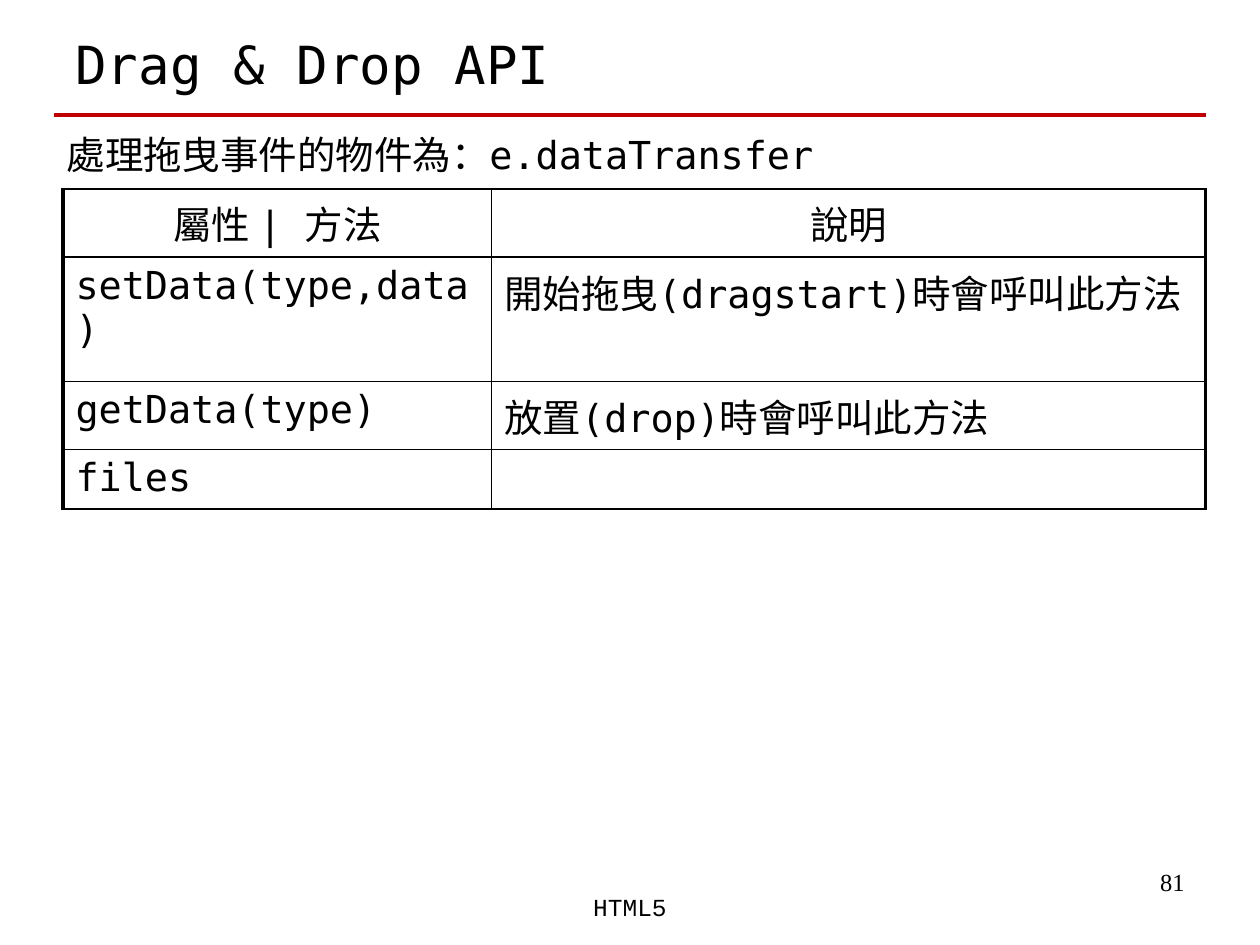
from lxml import etree
from pptx import Presentation
from pptx.dml.color import RGBColor
from pptx.enum.shapes import MSO_CONNECTOR
from pptx.enum.text import MSO_ANCHOR, PP_ALIGN
from pptx.oxml.ns import qn
from pptx.util import Pt

LEFT, CENTER, RIGHT = PP_ALIGN.LEFT, PP_ALIGN.CENTER, PP_ALIGN.RIGHT
TOP, MIDDLE = MSO_ANCHOR.TOP, MSO_ANCHOR.MIDDLE
LINE = MSO_CONNECTOR.STRAIGHT
MONO = "DejaVu Sans Mono"
BLACK, RED = "000000", "C00000"


def color(code):
    return RGBColor.from_string(code)


def write(frame, text, size, font, align):
    para = frame.paragraphs[0]
    para.text = text
    para.alignment = align
    para.font.size = Pt(size)
    para.font.name = font
    para.font.color.rgb = color(BLACK)


deck = Presentation()
deck.slide_width, deck.slide_height = Pt(720), Pt(540)
slide = deck.slides.add_slide(deck.slide_layouts[6])
shapes = slide.shapes

# Title, page number, footer and lead line
texts = [
    ("Drag & Drop API", 36, 9, 648, 54.5, 30, MONO, LEFT, MIDDLE),
    ("81", 516, 492, 168, 37.5, 14, "Times New Roman", RIGHT, TOP),
    ("HTML5", 246, 506, 228, 36, 14, "Courier New", CENTER, TOP),
    ("處理拖曳事件的物件為：e.dataTransfer", 31, 71.5, 658, 60, 22, MONO, LEFT, TOP),
]
for text, x, y, width, height, size, font, align, anchor in texts:
    frame = shapes.add_textbox(Pt(x), Pt(y), Pt(width), Pt(height)).text_frame
    frame.word_wrap = True
    frame.vertical_anchor = anchor
    write(frame, text, size, font, align)

rule = shapes.add_connector(LINE, Pt(31), Pt(65.5), Pt(689), Pt(65.5))
rule.line.color.rgb = color(RED)
rule.line.width = Pt(2.25)
etree.SubElement(rule._element.spPr, qn("a:effectLst"))

# Table of the object's members
rows = [
    ("屬性 | 方法", "說明"),
    ("setData(type,data)", "開始拖曳(dragstart)時會呼叫此方法"),
    ("getData(type)", "放置(drop)時會呼叫此方法"),
    ("files", ""),
]
widths = [245, 408]
heights = [39, 71, 39, 34]
table = shapes.add_table(len(rows), len(widths), Pt(36), Pt(108),
                         Pt(sum(widths)), Pt(sum(heights))).table
for col, width in zip(table.columns, widths):
    col.width = Pt(width)
for row, height in zip(table.rows, heights):
    row.height = Pt(height)

for i, row in enumerate(rows):
    for j, text in enumerate(row):
        cell = table.cell(i, j)
        write(cell.text_frame, text, 22, MONO, LEFT if i else CENTER)
        props = cell._tc.get_or_add_tcPr()
        outer = "R" if j else "L"
        for side in "LRTB":
            width = 2.25 if side == outer else 1
            edge = etree.SubElement(props, qn("a:ln" + side), w=str(Pt(width)))
            fill = etree.SubElement(edge, qn("a:solidFill"))
            etree.SubElement(fill, qn("a:srgbClr"), val=BLACK)
        cell.fill.background()

deck.save("out.pptx")
